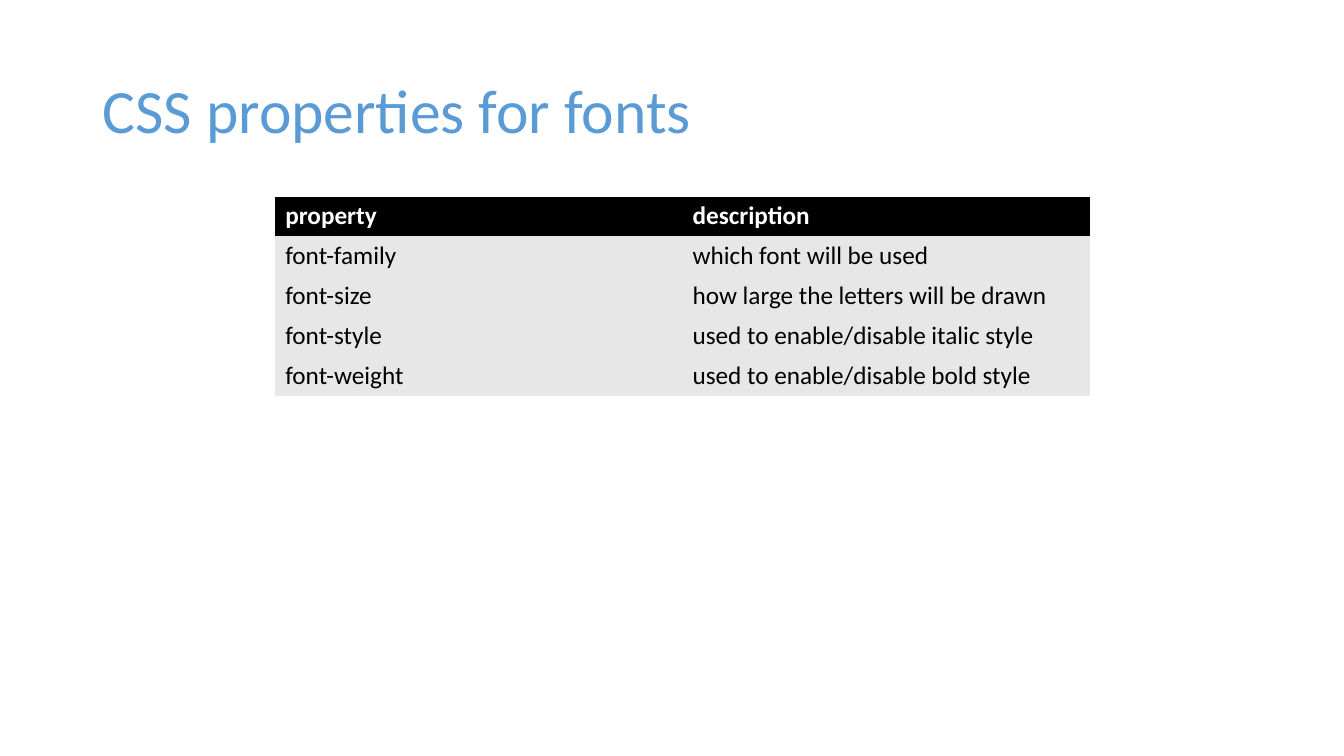
import dataclasses

import pptx
import pptx.dml.color
import pptx.enum.text
import pptx.oxml.ns
import pptx.util

Inches = pptx.util.Inches
FONT = "Calibri"
NO_GRID_STYLE = "{2D5ABB26-0587-4C30-8999-92F81FD0307C}"


@dataclasses.dataclass(frozen=True)
class RowStyle:
    fill: str
    color: str
    bold: bool


@dataclasses.dataclass(frozen=True)
class PropertyRow:
    name: str
    description: str
    style: RowStyle


HEADER = RowStyle("000000", "FFFFFF", True)
BODY = RowStyle("E7E7E7", "000000", False)

ROWS = [
    PropertyRow("property", "description", HEADER),
    PropertyRow("font-family", "which font will be used", BODY),
    PropertyRow("font-size", "how large the letters will be drawn", BODY),
    PropertyRow("font-style", "used to enable/disable italic style", BODY),
    PropertyRow("font-weight", "used to enable/disable bold style", BODY),
]


def rgb(color: str) -> pptx.dml.color.RGBColor:
    return pptx.dml.color.RGBColor.from_string(color)


def add_run(p, text: str, size: float, color: str, bold: bool = False) -> None:
    r = p.add_run()
    r.text = text
    r.font.name = FONT
    r.font.size = pptx.util.Pt(size)
    r.font.bold = bold
    r.font.color.rgb = rgb(color)


def add_title(s, text: str) -> None:
    sp = s.shapes.title
    sp.left, sp.top = Inches(0.92), Inches(0.4)
    sp.width, sp.height = Inches(11.5), Inches(1.45)
    tf = sp.text_frame
    tf.word_wrap = True
    tf.vertical_anchor = pptx.enum.text.MSO_ANCHOR.MIDDLE
    p = tf.paragraphs[0]
    p.alignment = pptx.enum.text.PP_ALIGN.LEFT
    p.line_spacing = 0.9
    add_run(p, text, 44, "5B9BD5")


def add_property_table(s, rows: list[PropertyRow]) -> None:
    table = s.shapes.add_table(
        len(rows), 2, Inches(2.73), Inches(1.95), Inches(8.08), Inches(1.98)
    ).table
    # Plain table style, without grid lines
    style_id = table._tbl.tblPr.find(pptx.oxml.ns.qn("a:tableStyleId"))
    style_id.text = NO_GRID_STYLE
    table.horz_banding = False

    for i, row in enumerate(rows):
        for j, text in enumerate((row.name, row.description)):
            cell = table.cell(i, j)
            cell.margin_left = cell.margin_right = Inches(0.1)
            cell.margin_top = cell.margin_bottom = Inches(0.04)
            cell.fill.solid()
            cell.fill.fore_color.rgb = rgb(row.style.fill)
            p = cell.text_frame.paragraphs[0]
            add_run(p, text, 18, row.style.color, row.style.bold)


def main() -> None:
    prs = pptx.Presentation()
    prs.slide_width, prs.slide_height = Inches(13.33), Inches(7.5)
    s = prs.slides.add_slide(prs.slide_layouts.get_by_name("Title Only"))
    add_title(s, "CSS properties for fonts")
    add_property_table(s, ROWS)
    prs.save("out.pptx")


if __name__ == "__main__":
    main()
